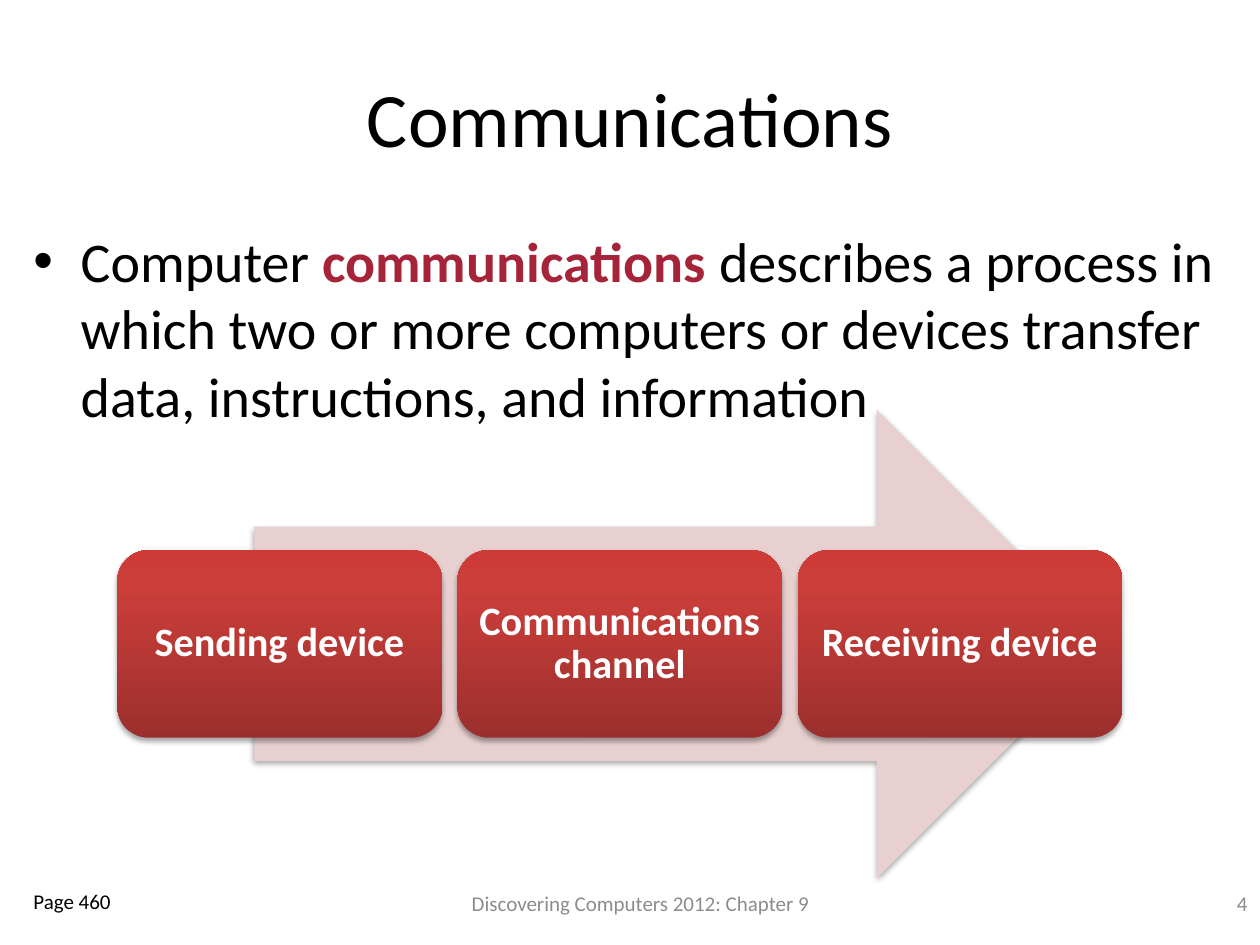
from copy import deepcopy
from dataclasses import dataclass

from lxml.etree import SubElement
from pptx import Presentation
from pptx.dml.color import RGBColor
from pptx.enum.shapes import MSO_SHAPE as SHAPE
from pptx.enum.text import MSO_ANCHOR as ANCHOR, PP_ALIGN as ALIGN
from pptx.oxml.ns import qn
from pptx.util import Pt


@dataclass(frozen=True)
class Theme:
    font: str = "Calibri"
    ink: str = "000000"
    muted: str = "8C8C8C"
    accent: str = "A52439"
    white: str = "FFFFFF"
    arrow: str = "E8D0D0"
    card: tuple = ((0, "9C2F2D"), (0.8, "CB3E3A"), (1, "CE3B37"))
    title: int = 44
    body: int = 32
    label: int = 23
    small: int = 12


THEME = Theme()


def rgb(value):
    return RGBColor.from_string(value)


def write(tf, *parts, size, color=THEME.ink, bold=False, align=ALIGN.LEFT,
          anchor=ANCHOR.TOP, bullet=None, spacing=None):
    """Fill a text frame with one paragraph; a part is text or (text, color), the latter bold."""
    tf.word_wrap = True
    tf.vertical_anchor = anchor
    p = tf.paragraphs[0]
    if bullet:
        ppr = p._p.get_or_add_pPr()
        ppr.set("marL", str(Pt(27)))
        ppr.set("indent", str(-Pt(27)))
        SubElement(ppr, qn("a:buFont"), typeface="Arial")
        SubElement(ppr, qn("a:buChar"), char=bullet)
    p.alignment = align
    p.line_spacing = spacing
    for part in parts:
        text, part_color, strong = (part, color, bold) if isinstance(part, str) else (*part, True)
        r = p.add_run()
        r.text = text
        r.font.name, r.font.size = THEME.font, Pt(size)
        r.font.bold = strong
        r.font.color.rgb = rgb(part_color)


def add_text(s, box, *parts, **fmt):
    write(s.shapes.add_textbox(*map(Pt, box)).text_frame, *parts, **fmt)


def add_shadowed(s, kind, box):
    """Add a shape without outline and with a soft shadow below it."""
    sp = s.shapes.add_shape(kind, *map(Pt, box))
    sp.line.fill.background()
    sp.shadow.inherit = False
    shadow = SubElement(sp._element.spPr.find(qn("a:effectLst")), qn("a:outerShdw"),
                        blurRad=str(Pt(3.1)), dist=str(Pt(1.8)), dir="5400000", rotWithShape="0")
    color = SubElement(shadow, qn("a:srgbClr"), val=THEME.ink)
    SubElement(color, qn("a:alpha"), val="35000")
    return sp


def fill_gradient(sp, stops):
    """Fill from bottom to top with (position, color) stops."""
    sp.fill.gradient()
    sp.fill.gradient_angle = 90
    stop_list = sp._element.spPr.find(qn("a:gradFill")).find(qn("a:gsLst"))
    while len(stop_list) < len(stops):
        stop_list.append(deepcopy(stop_list[-1]))
    for stop, (position, color) in zip(sp.fill.gradient_stops, stops):
        stop.position = position
        stop.color.rgb = rgb(color)


def add_card(s, box, label):
    sp = add_shadowed(s, SHAPE.ROUNDED_RECTANGLE, box)
    fill_gradient(sp, THEME.card)
    tf = sp.text_frame
    tf.margin_left = tf.margin_right = Pt(3)
    write(tf, label, size=THEME.label, color=THEME.white, bold=True,
          align=ALIGN.CENTER, anchor=ANCHOR.MIDDLE, spacing=0.9)


def add_process(s, box, labels, gap=8.6, arrow_inset=78.4, arrow_overhang=6.5):
    """Place equal cards in a row across a wide arrow."""
    left, top, width, height = box
    arrow_width = width - arrow_inset - arrow_overhang
    arrow = add_shadowed(s, SHAPE.RIGHT_ARROW, (left + arrow_inset, top, arrow_width, height))
    arrow.fill.solid()
    arrow.fill.fore_color.rgb = rgb(THEME.arrow)
    card_width = (width - gap * (len(labels) - 1)) / len(labels)
    card_height = height * 0.4
    card_top = top + (height - card_height) / 2
    for i, label in enumerate(labels):
        add_card(s, (left + i * (card_width + gap), card_top, card_width, card_height), label)


def add_footer(s, box, page, source, number):
    left, top, width, height = box
    add_text(s, (left + 12, top + 12, 132, 36), page, size=THEME.small)
    muted = dict(size=THEME.small, color=THEME.muted, anchor=ANCHOR.MIDDLE)
    add_text(s, (left + 216, top + 6, 300, 36), source, align=ALIGN.CENTER, **muted)
    add_text(s, (left + width - 48, top, 48, height), number, align=ALIGN.RIGHT, **muted)


def main():
    prs = Presentation()
    prs.slide_width, prs.slide_height = Pt(720), Pt(540)
    s = prs.slides.add_slide(prs.slide_layouts[6])
    add_text(s, (36, 21.6, 648, 90), "Communications", size=THEME.title,
             align=ALIGN.CENTER, anchor=ANCHOR.MIDDLE)
    add_text(s, (12, 126, 696, 366), "Computer ", ("communications", THEME.accent),
             " describes a process in which two or more computers or devices transfer "
             "data, instructions, and information", size=THEME.body, bullet="•")
    add_footer(s, (0, 492, 720, 48), "Page 460", "Discovering Computers 2012: Chapter 9", "4")
    add_process(s, (67, 234, 574.5, 268),
                ["Sending device", "Communications channel", "Receiving device"])
    prs.save("out.pptx")


if __name__ == "__main__":
    main()
